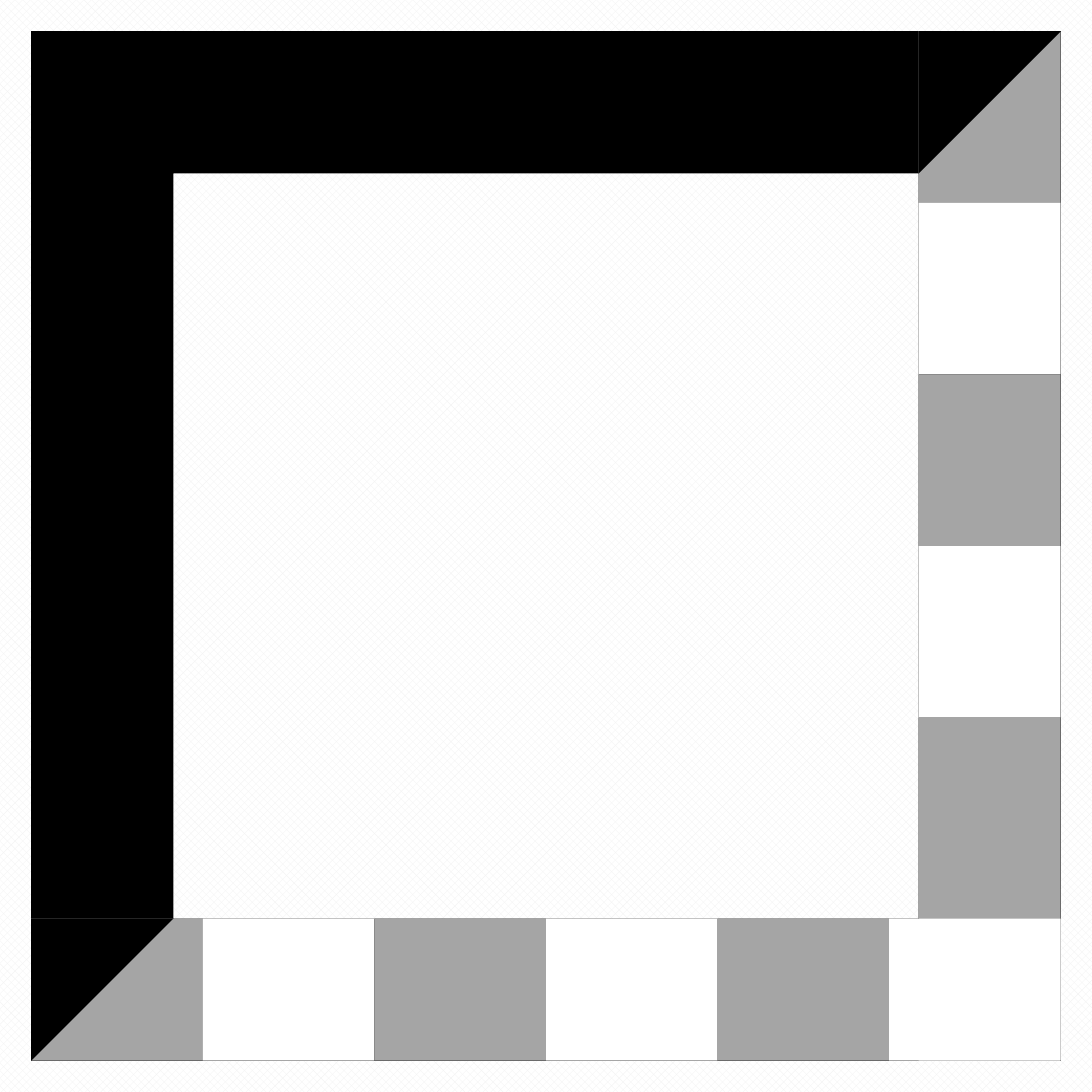
from pptx import Presentation
from pptx.dml.color import RGBColor
from pptx.enum.dml import MSO_PATTERN
from pptx.enum.shapes import MSO_SHAPE
from pptx.util import Inches

CHECKER = MSO_PATTERN.LARGE_CHECKER_BOARD
FRAME = MSO_SHAPE.FRAME
RECTANGLE = MSO_SHAPE.RECTANGLE
TRIANGLE = MSO_SHAPE.RIGHT_TRIANGLE

COLORS = {"black": "000000", "gray": "A5A5A5", "white": "FFFFFF", "check": "F2F2F2"}
RIGHT_TILES = ["gray", "white", "gray", "white", "gray", "gray"]
BOTTOM_TILES = ["gray", "white", "gray", "white", "gray", "white"]

PAGE_SIDE = 7.87
FRAME_SIDE = 7.42
BAND_RATIO = 0.138

margin = (PAGE_SIDE - FRAME_SIDE) / 2
band = FRAME_SIDE * BAND_RATIO
far_edge = margin + FRAME_SIDE - band
tile = FRAME_SIDE / len(RIGHT_TILES)


def color(name):
    return RGBColor.from_string(COLORS[name])


def add_box(page, kind, left, top, width, height, fill):
    box = page.shapes.add_shape(kind, Inches(left), Inches(top), Inches(width), Inches(height))
    box.shadow.inherit = False
    box.fill.solid()
    box.fill.fore_color.rgb = color(fill)
    box.line.fill.background()
    return box


def main():
    deck = Presentation()
    deck.slide_width = deck.slide_height = Inches(PAGE_SIDE)
    page = deck.slides.add_slide(deck.slide_layouts[6])

    backdrop = page.background.fill
    backdrop.patterned()
    backdrop.pattern = CHECKER
    backdrop.fore_color.rgb = color("check")
    backdrop.back_color.rgb = color("white")

    frame = add_box(page, FRAME, margin, margin, FRAME_SIDE, FRAME_SIDE, "black")
    frame.adjustments[0] = BAND_RATIO

    for index, fill in enumerate(RIGHT_TILES):
        add_box(page, RECTANGLE, far_edge, margin + index * tile, band, tile, fill)
    for index, fill in enumerate(BOTTOM_TILES):
        add_box(page, RECTANGLE, margin + index * tile, far_edge, tile, band, fill)

    for left, top in [(margin, far_edge), (far_edge, margin)]:
        corner = add_box(page, TRIANGLE, left, top, band, band, "black")
        corner.rotation = 90

    deck.save("out.pptx")


if __name__ == "__main__":
    main()
